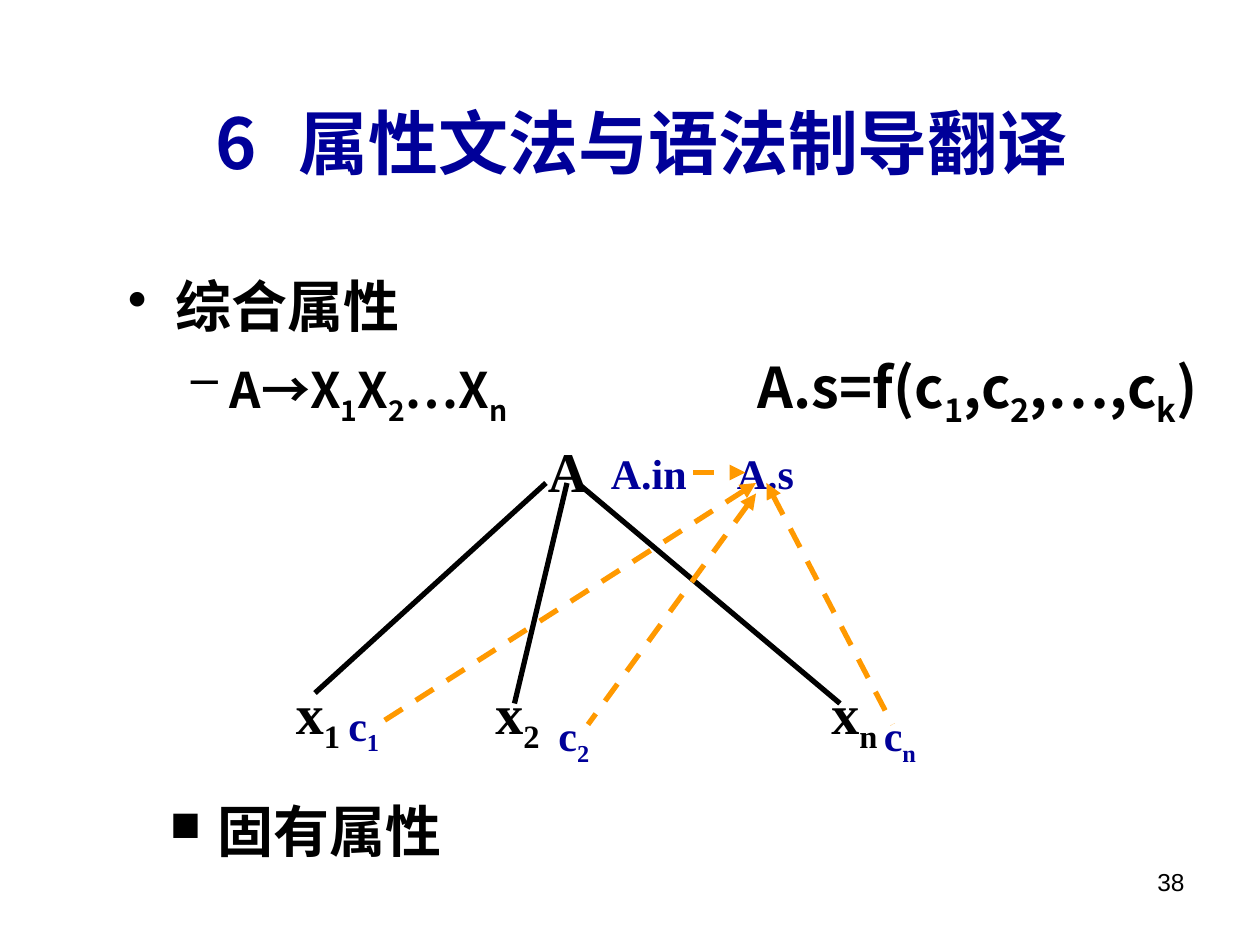
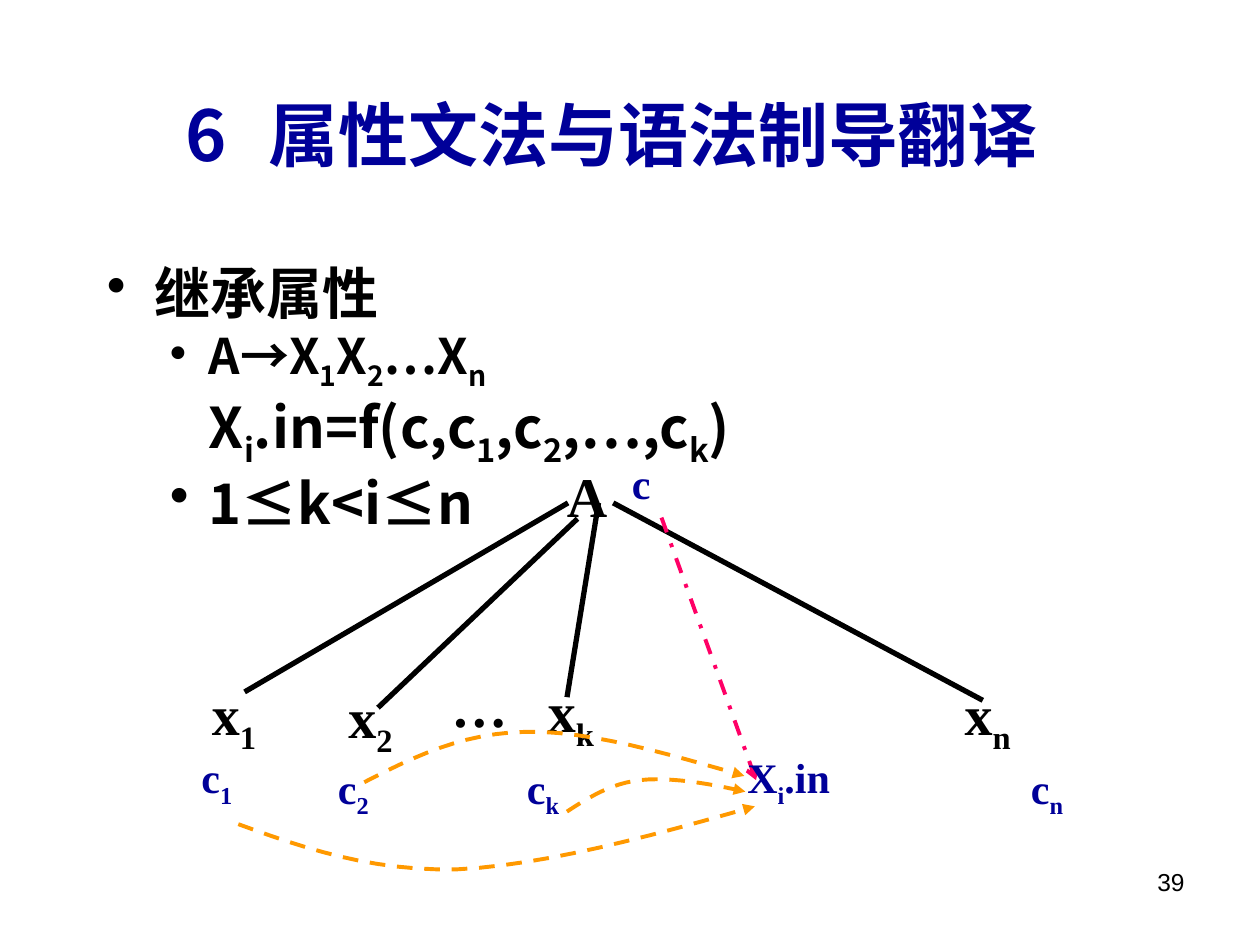
from lxml.etree import SubElement
from pptx import Presentation
from pptx.dml.color import RGBColor as RGB
from pptx.enum.dml import MSO_LINE as DASH
from pptx.enum.shapes import MSO_CONNECTOR as CONNECTOR
from pptx.enum.text import MSO_ANCHOR as ANCHOR, PP_ALIGN as ALIGN
from pptx.oxml.ns import qn
from pptx.util import Inches, Pt

COLOURS = {"title": "000099", "attribute": "000099", "text": "000000",
           "flow": "FF9900", "inherit": "FF0066"}
SANS, SERIF, NUMBER = "Noto Sans CJK JP", "Times New Roman", "Arial"
TITLE = "6 属性文法与语法制导翻译"

# The grid has 120 columns and 90 rows
CELL = Inches(10) / 120
CURVE_STEPS = 12
OUTER, INNER = (0.38, -0.38), (0.81, -0.31)


def add_text(slide, text, box=None, frame=None, size=32, font=SERIF, colour="text",
             bold=True, align=ALIGN.LEFT, anchor=ANCHOR.TOP, bullet=None,
             bullet_size=100, indent=OUTER, level=0, before=0, spacing=None,
             tab=None, tail="", tail_break=False, space_gap=0):
    """Write a paragraph in a new box or an existing frame; _ lowers the next letter."""
    if frame is None:
        frame = slide.shapes.add_textbox(*[round(n * CELL) for n in box]).text_frame
        frame.word_wrap = True
        frame.vertical_anchor = anchor
        paragraph = frame.paragraphs[0]
    else:
        paragraph = frame.add_paragraph()
    properties = paragraph._p.get_or_add_pPr()
    if bullet:
        properties.set("marL", str(Inches(indent[0])))
        properties.set("indent", str(Inches(indent[1])))
        bullet_colour = SubElement(properties, qn("a:buClr"))
        SubElement(bullet_colour, qn("a:srgbClr"), val=COLOURS["text"])
        SubElement(properties, qn("a:buSzPct"), val=str(bullet_size * 1000))
        SubElement(properties, qn("a:buChar"), char=bullet)
    if tab:
        tabs = SubElement(properties, qn("a:tabLst"))
        SubElement(tabs, qn("a:tab"), pos=str(Inches(tab)), algn="l")
    paragraph.alignment, paragraph.level = align, level
    paragraph.space_before = Pt(before)
    if spacing:
        paragraph.line_spacing = spacing

    # Split into runs: plain, lowered, and spaces that are widened
    for part, part_size in ((text, size), (tail, 32)):
        if part == tail and tail_break:
            paragraph.add_line_break()
        first, *others = part.split("_")
        pieces = [(first, False)]
        for other in others:
            pieces += [(other[0], True), (other[1:], False)]
        if space_gap:
            start, end = text.split(" ")
            pieces = [(start, False), (" ", False), (end, False)] if part else []
        for piece, lowered in pieces:
            if not piece:
                continue
            run = paragraph.add_run()
            run.text = piece
            run.font.size, run.font.bold, run.font.name = Pt(part_size), bold, font
            run.font.color.rgb = RGB.from_string(COLOURS[colour])
            run_properties = run._r.get_or_add_rPr()
            SubElement(run_properties, qn("a:ea"), typeface=SANS)
            if lowered:
                run_properties.set("baseline", "-25000")
            if piece == " ":
                run_properties.set("spc", str(space_gap * 100))
    return frame


def draw_line(slide, points, colour="text", width=3, dash=None, arrow=None):
    """Draw a connector through two points, or cubic curves through more."""
    points = [(x * CELL, y * CELL) for x, y in points]
    if len(points) == 2:
        ends = [round(value) for point in points for value in point]
        shape = slide.shapes.add_connector(CONNECTOR.STRAIGHT, *ends)
    else:
        path = []
        for first in range(0, len(points) - 1, 3):
            for step in range(1, CURVE_STEPS + 1):
                t = step / CURVE_STEPS
                weights = ((1 - t) ** 3, 3 * t * (1 - t) ** 2, 3 * t * t * (1 - t), t ** 3)
                path.append(tuple(
                    round(sum(weight * point[axis] for weight, point
                              in zip(weights, points[first:first + 4])))
                    for axis in (0, 1)))
        builder = slide.shapes.build_freeform(*[round(value) for value in points[0]])
        builder.add_line_segments(path, close=False)
        shape = builder.convert_to_shape()
        shape.fill.background()
    shape.line.color.rgb = RGB.from_string(COLOURS[colour])
    shape.line.width = Pt(width)
    if dash:
        shape.line.dash_style = dash
    if arrow:
        end, kind = arrow
        SubElement(shape.line._get_or_add_ln(), qn("a:" + end), type=kind)
    SubElement(shape._element.spPr, qn("a:effectLst"))


presentation = Presentation()
presentation.slide_width, presentation.slide_height = Inches(10), Inches(7.5)

# What both slides share: title and page number
slides = []
for number, title_box in (("38", (15.6, 7.2, 91, 12.5)), ("39", (10, 6.2, 96.5, 13.1))):
    slide = presentation.slides.add_slide(presentation.slide_layouts[6])
    add_text(slide, TITLE, title_box, size=40, font=SANS, colour="title",
             align=ALIGN.CENTER, anchor=ANCHOR.MIDDLE, space_gap=15)
    add_text(slide, number, (86, 82, 28, 6.2), size=14, font=NUMBER, bold=False,
             align=ALIGN.RIGHT)
    slides.append(slide)
synthesized, inherited = slides

# Slide 1: headings and rule
body = add_text(synthesized, "综合属性", (11, 26, 106, 15), font=SANS, bullet="•",
                spacing=0.9)
add_text(synthesized, "A→X_1X_2…X_n\t", frame=body, size=28, font=SANS, bullet="–",
         indent=INNER, level=1, before=8, spacing=0.9, tab=5,
         tail="A.s=f(c_1,c_2,…,c_k)")
add_text(synthesized, "固有属性", (15, 76, 53, 7), bullet="■", bullet_size=75, spacing=0.9)

# Slide 1: tree nodes and branches
for node, left, top in (("A", 51, 41), ("x_1", 27, 64), ("x_2", 46, 64), ("x_n", 78, 64)):
    add_text(synthesized, node, (left, top, 8, 8.5))
for branch in (((52, 46), (30, 66)), ((54, 46), (49, 67)), ((55, 46), (80, 67))):
    draw_line(synthesized, branch)

# Slide 1: attributes flowing up to A.s
for attribute, left, top in (("A.s", 69, 42), ("c_1", 32, 66), ("c_2", 52, 67),
                             ("c_n", 83, 67), ("A.in", 57, 42)):
    add_text(synthesized, attribute, (left, top, 11, 6.5), size=24, colour="attribute")
for flow in (((72, 46), (36, 69)), ((72, 47), (56, 69)), ((73, 46), (85, 69))):
    draw_line(synthesized, flow, "flow", dash=DASH.DASH, arrow=("headEnd", "triangle"))
draw_line(synthesized, ((66, 45), (71, 45)), "flow", dash=DASH.DASH,
          arrow=("tailEnd", "triangle"))

# Slide 2: heading and rules
body = add_text(inherited, "继承属性", (9, 24, 108, 22), font=SANS, bullet="•")
add_text(inherited, "A→X_1X_2…X_n", frame=body, size=28, font=SANS, bullet="•",
         indent=INNER, level=1, tail="X_i.in=f(c,c_1,c_2,…,c_k)", tail_break=True)
add_text(inherited, "1≤k<i≤n", frame=body, font=SANS, bullet="•", indent=INNER, level=1)

# Slide 2: tree nodes and branches
for node, left, top in (("A", 52.8, 43.4), ("x_1", 19, 64.1), ("x_2", 32, 64.4),
                        ("…", 41.8, 63.4), ("x_k", 51, 63.8), ("x_n", 90.7, 64.1)):
    add_text(inherited, node, (left, top, 11.3, 8.5))
for branch in (((54.1, 47.9), (23.3, 65.9)), ((55, 49.4), (36, 67.4)),
               ((57, 47.9), (54, 66.4)), ((58.4, 47.9), (93.6, 66.7))):
    draw_line(inherited, branch)

# Slide 2: attributes flowing into Xi.in
for flow in (
    ((54, 77.3), (56, 76), (58.2, 74.6), (61, 74.3), (63.8, 74), (67.4, 74.6), (71, 75.4)),
    ((34.7, 74.5), (39.4, 72.1), (44, 69.8), (50.2, 69.7), (56.2, 69.6), (63.6, 71.8),
     (70.9, 73.9)),
    ((22.7, 78.5), (29, 80.8), (35.4, 83), (43.6, 82.8), (51.8, 82.4), (61.8, 79.7),
     (71.9, 76.8)),
):
    draw_line(inherited, flow, "flow", 2.25, DASH.DASH, ("tailEnd", "triangle"))
draw_line(inherited, ((63, 49.3), (66.7, 59.6), (70.4, 69.8), (72, 74.3)), "inherit", 2.25,
          DASH.DASH_DOT, ("tailEnd", "arrow"))
for attribute, left, top in (("X_i.in", 70, 71), ("c_1", 18, 71), ("c_2", 31, 72),
                             ("c_k", 49, 72), ("c_n", 97, 72), ("c", 59, 43)):
    add_text(inherited, attribute, (left, top, 12, 6.7), size=24, colour="attribute")

presentation.save("out.pptx")
